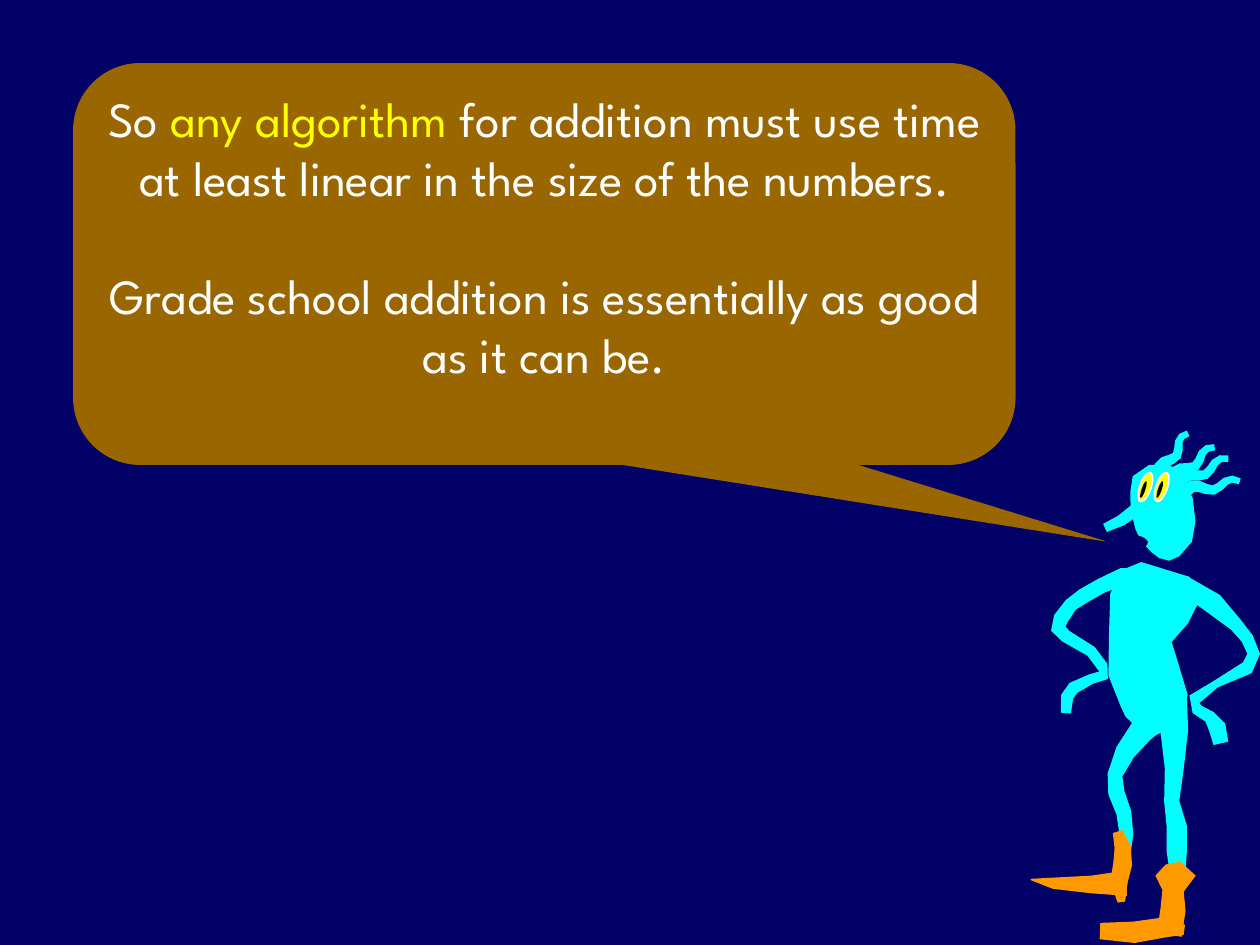
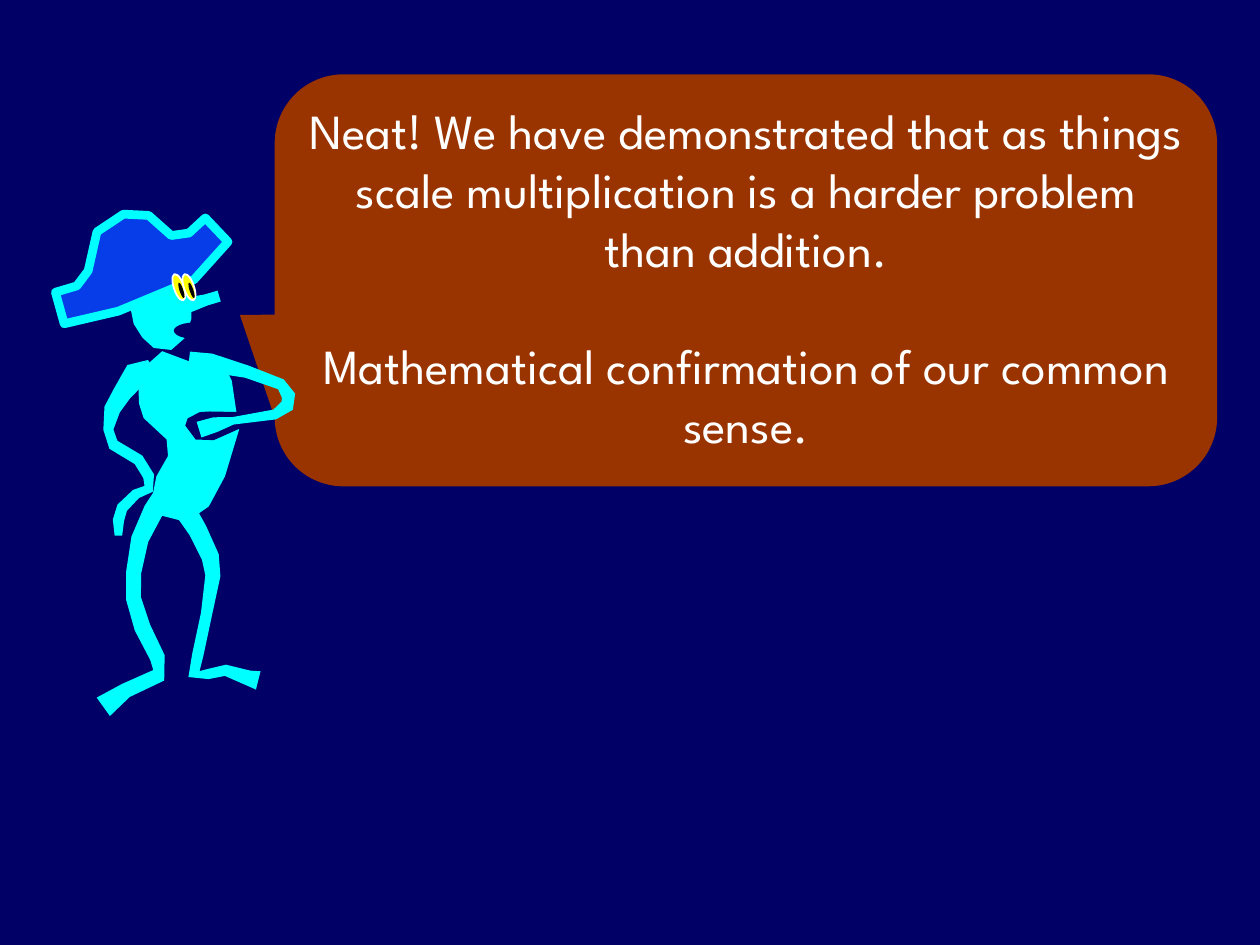
"""Builds two slides in which cartoon speakers compare addition and multiplication."""
from dataclasses import dataclass
from math import hypot, pi, sin

from pptx import Presentation
from pptx.dml.color import RGBColor
from pptx.enum.shapes import MSO_SHAPE
from pptx.enum.text import MSO_ANCHOR, PP_ALIGN
from pptx.util import Inches, Pt

OVAL = MSO_SHAPE.OVAL
CALLOUT = MSO_SHAPE.ROUNDED_RECTANGULAR_CALLOUT
CENTER = PP_ALIGN.CENTER
TOP = MSO_ANCHOR.TOP
COLUMNS = 1000
BLANK_LAYOUT = 6


@dataclass(frozen=True)
class Theme:
    """Colours and type of the deck."""
    font: str = "League Spartan"
    speech_size: float = 28
    speech_gap: float = 33.6
    eye_line: float = 1
    trim_line: float = 5
    corner: float = 0.167
    night: str = "000066"
    text: str = "FFFFFF"
    accent: str = "FFFF00"
    ochre: str = "996600"
    rust: str = "993300"
    skin: str = "00FFFF"
    shoe: str = "FF9900"
    hat: str = "063DE8"
    pupil: str = "000000"


STUDENT_BODY = {
    "torso": [(925, 452, 40), (921, 465, 66), (912, 483, 66), (905, 507, 50),
              (907, 530, 56), (916, 556, 54), (914, 572, 42), (912, 582, 12)],
    "head": [(920, 369, 16), (920, 378, 42), (920, 388, 46), (922, 400, 50),
             (925, 417, 48), (926, 430, 40), (925, 440, 22), (924, 444, 8)],
    "nose": [(902, 404, 10), (890, 413, 9), (877, 419, 7)],
    "far arm": [(918, 460, 18), (890, 458, 14), (874, 465, 12), (860, 473, 12), (850, 480, 11),
                (842, 491, 12), (840, 499, 12), (846, 505, 10), (866, 517, 9), (875, 529, 9),
                (876, 536, 9), (866, 539, 8), (852, 546, 10), (847, 553, 10), (846, 566, 8)],
    "near arm": [(938, 463, 14), (963, 479, 17), (981, 496, 11), (990, 507, 10), (995, 519, 10),
                 (990, 530, 11), (965, 543, 6), (948, 555, 10), (950, 563, 9), (960, 569, 10),
                 (966, 577, 14), (969, 590, 12)],
    "far leg": [(932, 560, 18), (906, 580, 20), (893, 597, 16), (885, 615, 12), (886, 629, 13),
                (892, 645, 12), (894, 662, 11), (892, 684, 9)],
    "near leg": [(930, 552, 24), (932, 580, 22), (932, 610, 15), (930, 636, 12),
                 (934, 656, 16), (934, 676, 16), (935, 700, 11)],
}
STUDENT_SHOES = {
    "far ankle": [(887, 660, 8), (891, 672, 13), (891, 686, 15), (888, 700, 14), (890, 716, 6)],
    "far sole": [(818, 698, 1), (836, 701, 9), (866, 702, 14), (894, 701, 20)],
    "near ankle": [(931, 685, 12), (933, 695, 32), (931, 707, 17), (931, 722, 20), (928, 742, 20)],
    "near sole": [(873, 739, 13), (900, 740, 17), (925, 736, 16), (940, 738, 8)],
}
STUDENT_HAIR = [((920, 376), (943, 344)), ((930, 380), (964, 355)),
                ((936, 384), (975, 364)), ((941, 390), (984, 382))]

CAPTAIN_TRUNK = {
    "torso": [(140, 283, 24), (137, 291, 56), (144, 305, 74), (149, 317, 76), (161, 345, 58),
              (156, 370, 48), (145, 390, 48), (137, 403, 36), (135, 411, 18)],
    "head": [(124, 203, 20), (125, 212, 44), (127, 235, 50), (129, 255, 46),
             (130, 268, 34), (129, 277, 14)],
    "nose": [(150, 242, 12), (164, 238, 9), (174, 235, 9)],
}
CAPTAIN_ARM_GAP = {"gap": [(148, 335, 6), (157, 338, 22), (168, 338, 23), (192, 333, 12)]}
CAPTAIN_LIMBS = {
    "far arm": [(120, 290, 10), (108, 297, 20), (97, 312, 15), (89, 325, 13), (86, 341, 8),
                (90, 353, 9), (110, 365, 9), (118, 378, 9), (118, 388, 8), (108, 392, 8),
                (97, 403, 9), (94, 413, 9), (94, 425, 6)],
    "near arm": [(150, 286, 14), (167, 288, 15), (196, 295, 10), (223, 305, 9), (229, 314, 11),
                 (228, 322, 11), (218, 329, 8), (185, 334, 6), (171, 337, 12), (158, 341, 13)],
    "far leg": [(132, 388, 14), (122, 405, 16), (111, 428, 14), (106, 455, 12), (106, 475, 12),
                (113, 498, 13), (125, 522, 12), (126, 536, 12), (100, 548, 12), (82, 561, 18)],
    "near leg": [(138, 387, 8), (142, 397, 18), (157, 421, 15), (167, 442, 14), (169, 457, 12),
                 (164, 487, 9), (157, 520, 9), (154, 535, 10), (165, 535, 8), (179, 532, 9),
                 (197, 538, 12), (205, 540, 15)],
}
HAT_BRIM = [(163, 173), (181, 192), (154, 222), (94, 247), (51, 257), (44, 232), (61, 227)]
HAT_CROWN = [(70, 215), (77, 184), (98, 170), (118, 171), (136, 187), (150, 185)]


def limb_outline(joints):
    """Turn joints of x, y and thickness into the two sides of a limb."""
    near_side, far_side = [], []
    for index, (x, y, thickness) in enumerate(joints):
        before = joints[max(index - 1, 0)]
        after = joints[min(index + 1, len(joints) - 1)]
        run, rise = after[0] - before[0], after[1] - before[1]
        half = thickness / 2 / hypot(run, rise)
        near_side.append((x - rise * half, y + run * half))
        far_side.append((x + rise * half, y - run * half))
    return near_side + far_side[::-1]


def hair_joints(root, tip, waviness=3, thick=10, thin=5, steps=8):
    """Lay joints along a sine wave that tapers from root to tip."""
    run, rise = tip[0] - root[0], tip[1] - root[1]
    length = hypot(run, rise)
    joints = []
    for step in range(steps + 1):
        share = step / steps
        sway = -waviness * sin(3 * pi * share) / length
        joints.append((root[0] + run * share - rise * sway,
                       root[1] + rise * share + run * sway,
                       thick + (thin - thick) * share))
    return joints


class Scene:
    """Holds the theme and the slide being drawn on a fine square grid."""

    def __init__(self, deck, theme):
        self.deck = deck
        self.theme = theme
        self.cell = deck.slide_width // COLUMNS
        self.slide = None

    def new_slide(self):
        """Start a slide on the night background."""
        self.slide = self.deck.slides.add_slide(self.deck.slide_layouts[BLANK_LAYOUT])
        self.paint(self.slide.background, self.theme.night)

    def paint(self, target, color):
        """Fill the target with one solid colour."""
        target.fill.solid()
        target.fill.fore_color.rgb = RGBColor.from_string(color)

    def finish(self, shape, color):
        """Give a shape its fill and neither outline nor shadow."""
        shape.shadow.inherit = False
        self.paint(shape, color)
        shape.line.fill.background()
        return shape

    def edge(self, shape, color, width):
        """Draw an outline around a finished shape."""
        shape.line.color.rgb = RGBColor.from_string(color)
        shape.line.width = Pt(width)

    def preset(self, kind, box, color):
        """Draw a preset shape at left, top, width and height in cells."""
        left, top, width, height = (round(cells * self.cell) for cells in box)
        return self.finish(self.slide.shapes.add_shape(kind, left, top, width, height), color)

    def polygon(self, corners, color):
        """Draw a closed outline through corners given in cells."""
        start, *rest = [(round(x * self.cell), round(y * self.cell)) for x, y in corners]
        builder = self.slide.shapes.build_freeform(*start)
        builder.add_line_segments(rest, close=True)
        return self.finish(builder.convert_to_shape(), color)

    def body(self, parts, color):
        """Draw every named body part around its joints."""
        for joints in parts.values():
            self.polygon(limb_outline(joints), color)

    def hair(self, strands, color):
        """Draw a wavy strand between each root and tip."""
        for root, tip in strands:
            self.polygon(limb_outline(hair_joints(root, tip)), color)

    def speech(self, box, pointer, color, paragraphs):
        """Draw a speech bubble with centred paragraphs of coloured runs."""
        bubble = self.preset(CALLOUT, box, color)
        for index, value in enumerate((*pointer, self.theme.corner)):
            bubble.adjustments[index] = value
        frame = bubble.text_frame
        frame.word_wrap = True
        frame.vertical_anchor = TOP
        for index, runs in enumerate(paragraphs):
            paragraph = frame.add_paragraph() if index else frame.paragraphs[0]
            paragraph.alignment = CENTER
            if index:
                paragraph.space_before = Pt(self.theme.speech_gap)
            for words, ink in runs:
                run = paragraph.add_run()
                run.text = words
                run.font.name = self.theme.font
                run.font.size = Pt(self.theme.speech_size)
                run.font.color.rgb = RGBColor.from_string(ink)

    def eyes(self, lefts, top, eye_size, pupil_size, pupil_shift, angle):
        """Draw tilted eyes, each with its pupil."""
        for left in lefts:
            eye = self.preset(OVAL, (left, top, *eye_size), self.theme.accent)
            self.edge(eye, self.theme.text, self.theme.eye_line)
            pupil = self.preset(OVAL, (left + pupil_shift, top + 5, *pupil_size), self.theme.pupil)
            eye.rotation = pupil.rotation = angle

    def mouth(self, box):
        """Cut a mouth out of the face with the background colour."""
        self.preset(OVAL, box, self.theme.night)


def addition_slide(scene):
    """The student sums up the cost of addition."""
    theme = scene.theme
    scene.new_slide()
    scene.speech((58, 50, 748, 319), (0.599, 0.692), theme.ochre, [
        [("So ", theme.text), ("any algorithm", theme.accent),
         (" for addition must use time at least linear in the size of the numbers.", theme.text)],
        [("Grade school addition is essentially as good as it can be.", theme.text)],
    ])
    scene.body(STUDENT_BODY, theme.skin)
    scene.hair(STUDENT_HAIR, theme.skin)
    scene.eyes((897, 910), 382, (24, 9), (14, 3), 3.5, 288.6)
    scene.mouth((877, 424, 34, 13))
    scene.body(STUDENT_SHOES, theme.shoe)


def multiplication_slide(scene):
    """The captain draws the conclusion about multiplication."""
    theme = scene.theme
    scene.new_slide()
    scene.speech((218, 59, 748, 327), (-0.537, 0.084), theme.rust, [
        [("Neat! We have demonstrated that as things scale multiplication "
          "is a harder problem than addition.", theme.text)],
        [("Mathematical confirmation of our common sense.", theme.text)],
    ])
    scene.body(CAPTAIN_TRUNK, theme.skin)
    scene.body(CAPTAIN_ARM_GAP, theme.night)
    scene.body(CAPTAIN_LIMBS, theme.skin)
    hat = scene.polygon(HAT_BRIM + HAT_CROWN, theme.hat)
    scene.edge(hat, theme.skin, theme.trim_line)
    scene.eyes((131, 139), 224, (22, 8), (13, 3), 6.5, 71.5)
    scene.mouth((138, 256, 33, 13))


def main():
    """Build and save the deck."""
    deck = Presentation()
    deck.slide_width, deck.slide_height = Inches(10), Inches(7.5)
    scene = Scene(deck, Theme())
    addition_slide(scene)
    multiplication_slide(scene)
    deck.save("out.pptx")


if __name__ == "__main__":
    main()
